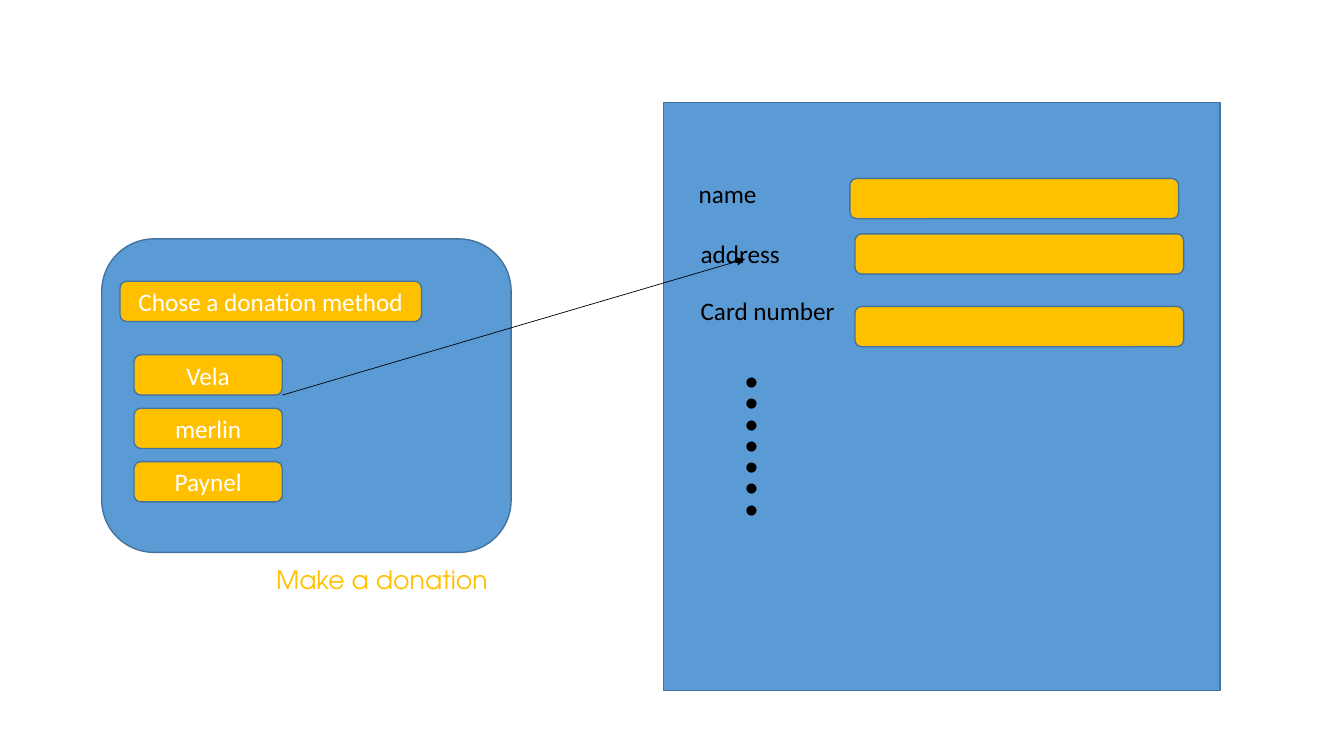
import pptx
import pptx.util
import pptx.dml.color
import pptx.enum.shapes
import pptx.enum.text
import pptx.oxml.ns
from lxml import etree

COLS, ROWS = 13.33, 7.5
THEME = {
    "blue": "5B9BD5", "gold": "FFC000", "edge": "43739E",
    "white": "FFFFFF", "black": "000000",
    "body": "Calibri", "title": "TeX Gyre Adventor",
    "size": 18, "dots": 60, "line": 1, "thin": 0.5,
}
TITLE = ("Make a donation", (2.64, 5.55, 3.09, 0.4))
CARD = (1.01, 2.37, 4.06, 3.11)
PROMPT = ("Chose a donation method", (1.19, 2.79, 2.99))
METHODS = ["Vela", "merlin", "Paynel"]
METHOD = {"left": 1.33, "top": 3.52, "width": 1.47, "pitch": 0.53}
FORM = (6.58, 1.02, 5.52, 5.83)
FIELDS = [
    ("name", (6.83, 1.72, 0.78), (8.43, 1.77)),
    ("address", (6.85, 2.32, 1), (8.48, 2.32)),
    ("Card number", (6.85, 2.88, 1.55), (8.48, 3.04)),
]
INPUT = 3.26
BAR = 0.4
DOTS = (".......", (6.9, 3.89, 1.69, 1.11))
TARGET = (7.39, 2.57)

SHAPE = pptx.enum.shapes.MSO_SHAPE
ALIGN = pptx.enum.text.PP_ALIGN
ANCHOR = pptx.enum.text.MSO_ANCHOR
FIT = pptx.enum.text.MSO_AUTO_SIZE

deck = pptx.Presentation()
deck.slide_width = pptx.util.Inches(COLS)
deck.slide_height = pptx.util.Inches(ROWS)
slide = deck.slides.add_slide(deck.slide_layouts[6])
shapes = slide.shapes


def place(box):
    return [pptx.util.Inches(part) for part in box]


def tint(name):
    return pptx.dml.color.RGBColor.from_string(THEME[name])


def write(shape, text, color, font="body", size="size"):
    shape.text_frame.text = text
    run = shape.text_frame.paragraphs[0].runs[0]
    run.font.name = THEME[font]
    run.font.size = pptx.util.Pt(THEME[size])
    run.font.color.rgb = tint(color)


def panel(box, fill, kind=SHAPE.ROUNDED_RECTANGLE, text=""):
    shape = shapes.add_shape(kind, *place(box))
    shape.shadow.inherit = False
    shape.fill.solid()
    shape.fill.fore_color.rgb = tint(fill)
    shape.line.color.rgb = tint("edge")
    shape.line.width = pptx.util.Pt(THEME["line"])
    if text:
        write(shape, text, "white")
        frame = shape.text_frame
        frame.vertical_anchor = ANCHOR.MIDDLE
        frame.paragraphs[0].alignment = ALIGN.CENTER


def label(text, box, color="black", wrap=False, **style):
    shape = shapes.add_textbox(*place(box))
    write(shape, text, color, **style)
    shape.text_frame.word_wrap = wrap
    shape.text_frame.auto_size = FIT.SHAPE_TO_FIT_TEXT
    return shape


def arrow(start, end):
    link = shapes.add_connector(
        pptx.enum.shapes.MSO_CONNECTOR.STRAIGHT, *place(start + end))
    link.line.color.rgb = tint("black")
    link.line.width = pptx.util.Pt(THEME["thin"])
    name = pptx.oxml.ns.qn
    tip = etree.SubElement(link.line._get_or_add_ln(), name("a:tailEnd"))
    tip.set("type", "triangle")
    etree.SubElement(link._element.spPr, name("a:effectLst"))


label(*TITLE, color="gold", wrap=True, font="title")
panel(CARD, "blue")
for row, text in enumerate(METHODS):
    top = METHOD["top"] + row * METHOD["pitch"]
    panel((METHOD["left"], top, METHOD["width"], BAR), "gold", text=text)
panel(PROMPT[1] + (BAR,), "gold", text=PROMPT[0])

panel(FORM, "blue", SHAPE.RECTANGLE)
arrow((METHOD["left"] + METHOD["width"], METHOD["top"] + BAR), TARGET)
for text, spot, entry in FIELDS:
    label(text, spot + (BAR,))
    panel(entry + (INPUT, BAR), "gold")
dots = label(*DOTS, size="dots")
dots.rotation = 90

deck.save("out.pptx")
